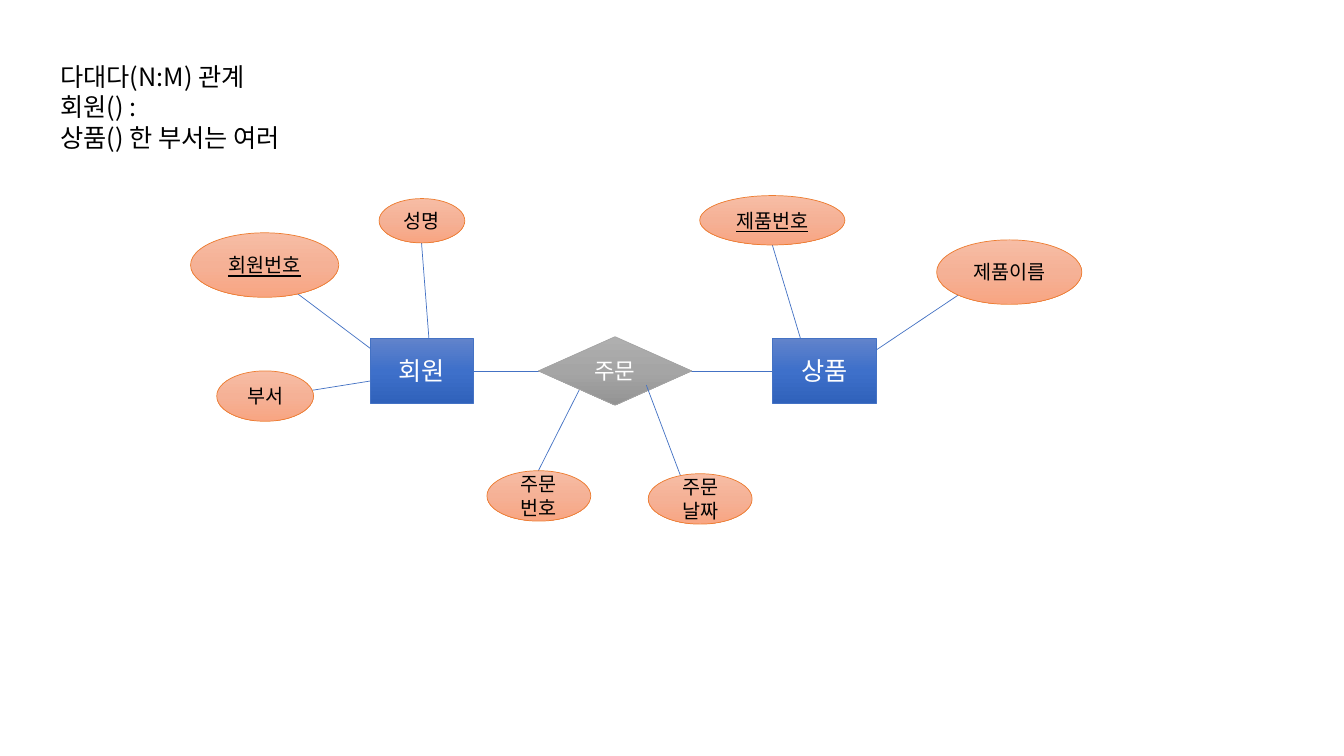
from copy import deepcopy
from dataclasses import dataclass

from lxml import etree
from pptx import Presentation
from pptx import util as u
from pptx.dml.color import RGBColor
from pptx.enum import shapes, text
from pptx.oxml import ns

FONT = "Noto Sans CJK KR"
LINK_COLOR = "4472C4"


@dataclass(frozen=True)
class Style:
    outline: shapes.MSO_SHAPE
    gradient: tuple[str, str, str]
    border: str
    ink: str
    size: int


@dataclass(frozen=True)
class Node:
    label: str
    left: float
    top: float
    width: float
    height: float
    style: Style
    is_key: bool = False


@dataclass(frozen=True)
class Link:
    x1: float
    y1: float
    x2: float
    y2: float


ENTITY = Style(shapes.MSO_SHAPE.RECTANGLE, ("6183CB", "3E70CA", "3062BB"), "4472C4", "FFFFFF", 18)
RELATION = Style(shapes.MSO_SHAPE.DIAMOND, ("AFAFAF", "A5A5A5", "939393"), "A5A5A5", "FFFFFF", 16)
ATTRIBUTE = Style(shapes.MSO_SHAPE.OVAL, ("F7BDA5", "F5B196", "F8A582"), "ED7D31", "000000", 14)

HEADING = "다대다(N:M) 관계\n회원() :\n상품() 한 부서는 여러"

DIAGRAM = (
    Link(7.66, 2.43, 7.94, 3.36),
    Link(9.5, 2.93, 8.38, 3.68),
    Link(4.18, 2.4, 4.27, 3.56),
    Link(2.92, 2.89, 3.81, 3.56),
    Link(2.92, 3.9, 3.86, 3.75),
    Node("회원", 3.67, 3.36, 1.03, 0.64, ENTITY),
    Link(7.98, 3.68, 4.7, 3.68),
    Node("상품", 7.66, 3.36, 1.03, 0.64, ENTITY),
    Link(5.77, 3.82, 5.34, 4.67),
    Node("주문", 5.34, 3.34, 1.52, 0.68, RELATION),
    Link(6.41, 3.82, 6.81, 4.88),
    Node("주문번호", 4.83, 4.67, 1.03, 0.5, ATTRIBUTE),
    Node("주문\n날짜", 6.43, 4.7, 1.03, 0.5, ATTRIBUTE),
    Node("제품번호", 6.94, 1.94, 1.44, 0.49, ATTRIBUTE, is_key=True),
    Node("제품이름", 9.29, 2.38, 1.44, 0.64, ATTRIBUTE),
    Node("회원번호", 1.89, 2.31, 1.47, 0.64, ATTRIBUTE, is_key=True),
    Node("성명", 3.76, 1.97, 0.85, 0.44, ATTRIBUTE),
    Node("부서", 2.15, 3.68, 0.96, 0.5, ATTRIBUTE),
)


def color(value: str) -> RGBColor:
    return RGBColor.from_string(value)


def write(frame, content: str, size: int, ink: str, align=None, underline: bool = False) -> None:
    for index, line in enumerate(content.split("\n")):
        paragraph = frame.add_paragraph() if index else frame.paragraphs[0]
        paragraph.alignment = align
        run = paragraph.add_run()
        run.text = line
        run.font.size = u.Pt(size)
        run.font.name = FONT
        run.font.color.rgb = color(ink)
        if underline:
            run.font.underline = True
        properties = run.font._element
        etree.SubElement(properties, ns.qn("a:ea")).set("typeface", FONT)


def fill_gradient(shape, colors: tuple[str, str, str]) -> None:
    shape.fill.gradient()
    shape.fill.gradient_angle = 270
    stop_list = shape._element.spPr.find(ns.qn("a:gradFill")).find(ns.qn("a:gsLst"))
    stop_list.insert(1, deepcopy(stop_list[0]))
    for index, (stop, value) in enumerate(zip(shape.fill.gradient_stops, colors)):
        stop.position = index / 2
        stop.color.rgb = color(value)


def draw_node(slide, node: Node) -> None:
    box = map(u.Inches, (node.left, node.top, node.width, node.height))
    shape = slide.shapes.add_shape(node.style.outline, *box)
    shape.shadow.inherit = False
    fill_gradient(shape, node.style.gradient)
    shape.line.color.rgb = color(node.style.border)
    shape.line.width = u.Pt(0.5)
    frame = shape.text_frame
    frame.word_wrap = True
    frame.vertical_anchor = text.MSO_ANCHOR.MIDDLE
    write(frame, node.label, node.style.size, node.style.ink, text.PP_ALIGN.CENTER, node.is_key)


def draw_link(slide, link: Link) -> None:
    ends = map(u.Inches, (link.x1, link.y1, link.x2, link.y2))
    connector = slide.shapes.add_connector(shapes.MSO_CONNECTOR.STRAIGHT, *ends)
    connector.line.color.rgb = color(LINK_COLOR)
    connector.line.width = u.Pt(0.5)
    etree.SubElement(connector._element.spPr, ns.qn("a:effectLst"))


def draw_heading(slide) -> None:
    heading = slide.shapes.add_textbox(*map(u.Inches, (0.5, 0.56, 2.82, 1.01)))
    heading.text_frame.word_wrap = False
    heading.text_frame.auto_size = text.MSO_AUTO_SIZE.SHAPE_TO_FIT_TEXT
    write(heading.text_frame, HEADING, 18, "000000")


def main() -> None:
    deck = Presentation()
    deck.slide_width = u.Inches(13.33)
    deck.slide_height = u.Inches(7.5)
    slide = deck.slides.add_slide(deck.slide_layouts[6])
    draw_heading(slide)
    for part in DIAGRAM:
        if isinstance(part, Link):
            draw_link(slide, part)
        else:
            draw_node(slide, part)
    deck.save("out.pptx")


if __name__ == "__main__":
    main()
